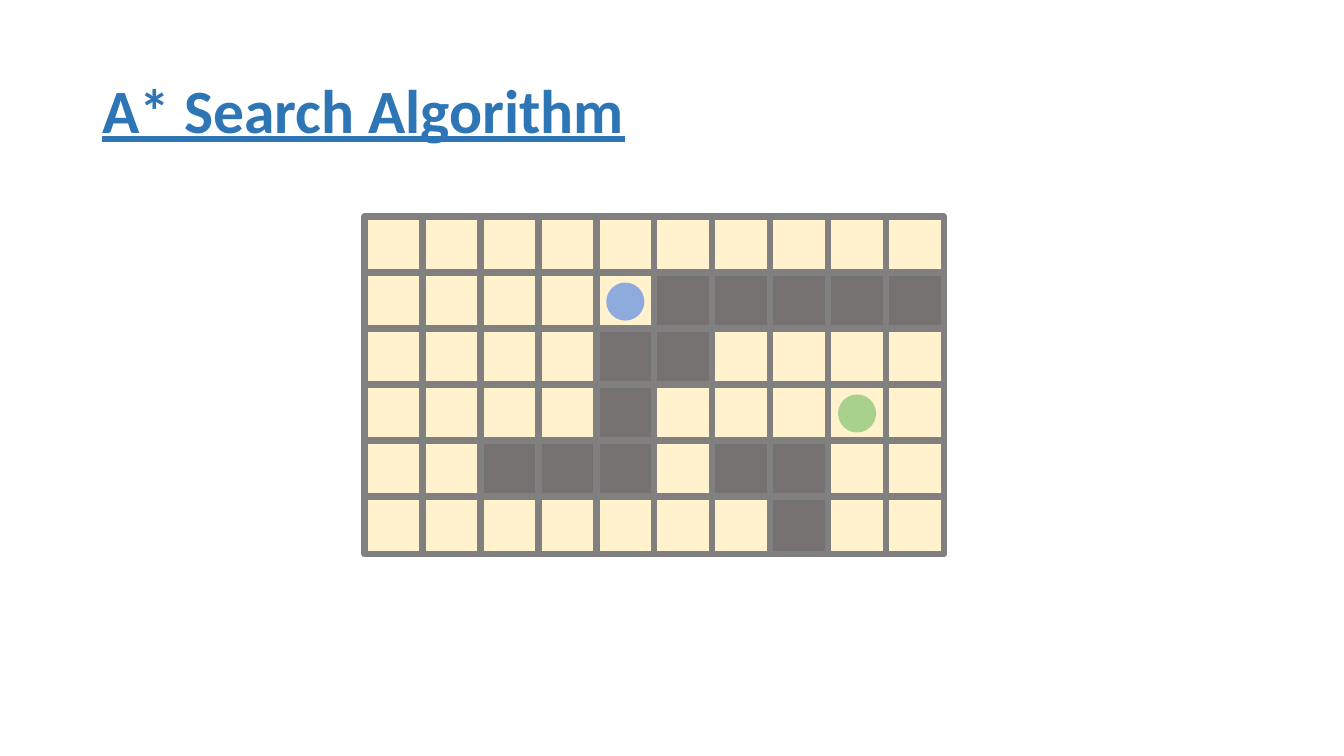
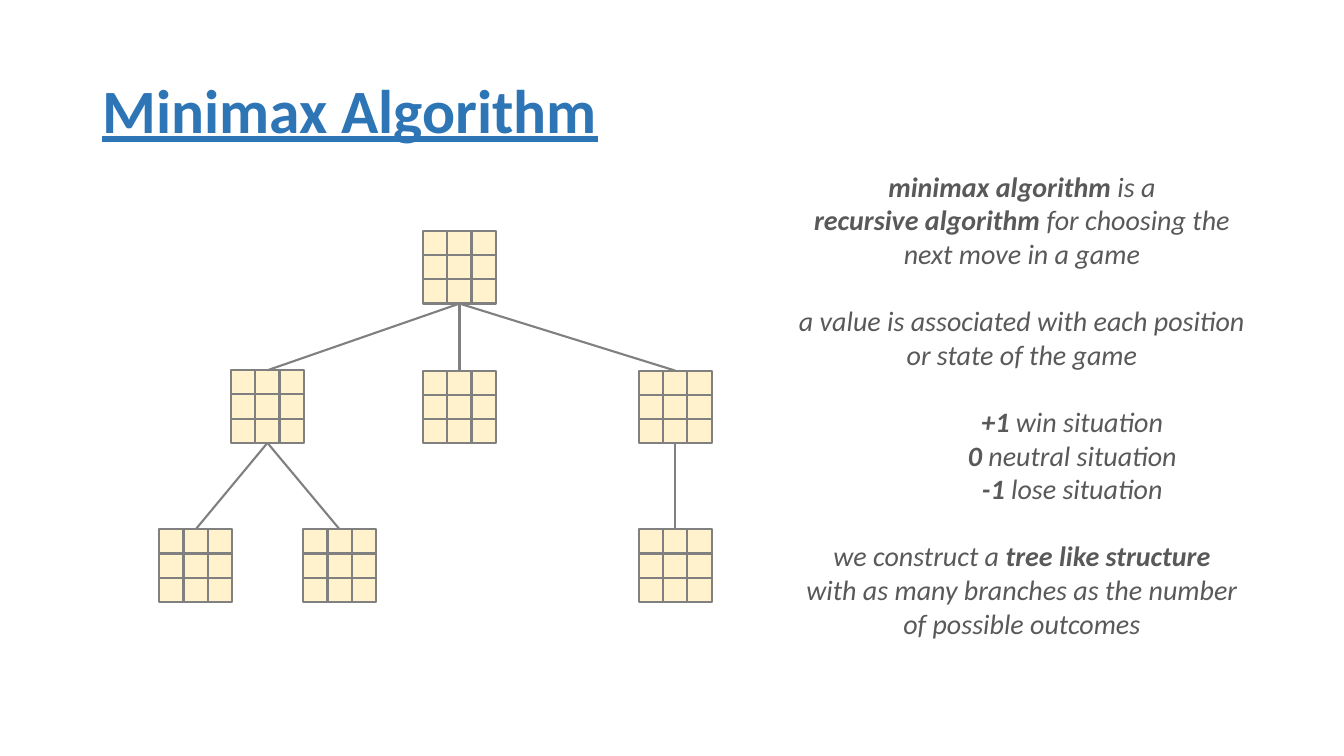
from dataclasses import dataclass
from itertools import product
from typing import NamedTuple

from lxml.etree import SubElement
from pptx import Presentation
from pptx.dml.color import RGBColor as Rgb
from pptx.enum.shapes import MSO_CONNECTOR as Link, MSO_SHAPE as Kind
from pptx.enum.text import MSO_ANCHOR as Anchor, PP_ALIGN as Align
from pptx.oxml.ns import qn
from pptx.slide import Slide
from pptx.util import Cm, Pt

FONT = "Calibri"
INK = {
    "title": "2E75B6",
    "text": "595959",
    "line": "808080",
    "free": "FFF2CC",
    "wall": "767171",
    "start": "8FAADC",
    "goal": "A9D18E",
}

# Maze: # is a wall, S the start, G the goal
MAZE = (
    "..........",
    "....S#####",
    "....##....",
    "....#...G.",
    "..###.##..",
    ".......#..",
)
MARKS = {"S": "start", "G": "goal"}
LEFT, TOP = 9.19, 5.46
STEP, RISE = 1.46, 1.41
DOT = 0.8

# Game tree: boards of three by three cells
CELL = 0.61
SIDE = 3 * CELL


@dataclass(frozen=True)
class Board:
    mid: float
    top: float
    root: str = ""


TREE = {
    "start": Board(11.58, 5.82),
    "left": Board(6.74, 9.33, "start"),
    "middle": Board(11.58, 9.34, "start"),
    "right": Board(17.02, 9.34, "start"),
    "left one": Board(4.93, 13.34, "left"),
    "left two": Board(8.56, 13.34, "left"),
    "right one": Board(17.02, 13.34, "right"),
}


class Row(NamedTuple):
    texts: tuple[str, ...]
    bold: int = -1  # index of the bold text
    gap: bool = False
    inset: float = 0


NOTES = (
    Row(("minimax algorithm", " is a"), 0),
    Row(("recursive algorithm", " for choosing the"), 0),
    Row(("next move in a game",)),
    Row(("a value is associated with each position",), gap=True),
    Row(("or state of the game",)),
    Row(("+1", " win situation"), 0, True, 2.54),
    Row(("0", " neutral situation"), 0, inset=2.54),
    Row(("-1", " lose situation"), 0, inset=2.54),
    Row(("we construct a ", "tree like structure"), 1, True),
    Row(("with as many branches as the number",)),
    Row(("of possible outcomes",)),
)


def tint(name: str) -> Rgb:
    return Rgb.from_string(INK[name])


def add_title(slide: Slide, text: str) -> None:
    box = slide.shapes.add_textbox(Cm(2.33), Cm(1.01), Cm(29.21), Cm(3.68))
    frame = box.text_frame
    frame.word_wrap = True
    frame.vertical_anchor = Anchor.MIDDLE
    frame.text = text
    para = frame.paragraphs[0]
    para.line_spacing = 0.9
    font = para.runs[0].font
    font.name, font.size = FONT, Pt(44)
    font.bold = font.underline = True
    font.color.rgb = tint("title")


def add_form(slide: Slide, kind: Kind, x: float, y: float, size: float,
             fill: str, line: str, width: float) -> None:
    form = slide.shapes.add_shape(kind, Cm(x), Cm(y), Cm(size), Cm(size))
    form.shadow.inherit = False
    form.fill.solid()
    form.fill.fore_color.rgb = tint(fill)
    form.line.color.rgb = tint(line)
    form.line.width = Pt(width)


def add_maze(slide: Slide) -> None:
    dots = []
    for row, signs in enumerate(MAZE):
        for col, sign in enumerate(signs):
            x, y = LEFT + col * STEP, TOP + row * RISE
            fill = "wall" if sign == "#" else "free"
            add_form(slide, Kind.RECTANGLE, x, y, STEP, fill, "line", 4.5)
            if sign in MARKS:
                dots.append((x, y, MARKS[sign]))
    # Dots lie above all cells
    pad = (STEP - DOT) / 2
    for x, y, name in dots:
        add_form(slide, Kind.OVAL, x + pad, y + pad, DOT, name, name, 4.5)


def add_board(slide: Slide, board: Board) -> None:
    for row, col in product(range(3), repeat=2):
        x = board.mid - SIDE / 2 + col * CELL
        y = board.top + row * CELL
        add_form(slide, Kind.RECTANGLE, x, y, CELL, "free", "line", 1.5)


def add_branch(slide: Slide, root: Board, leaf: Board) -> None:
    line = slide.shapes.add_connector(
        Link.STRAIGHT, Cm(root.mid), Cm(root.top + SIDE),
        Cm(leaf.mid), Cm(leaf.top))
    line.line.color.rgb = tint("line")
    line.line.width = Pt(1.5)
    SubElement(line._element.spPr, qn("a:effectLst"))


def add_notes(slide: Slide) -> None:
    box = slide.shapes.add_textbox(Cm(19.81), Cm(4.14), Cm(11.89), Cm(12.22))
    frame = box.text_frame
    frame.word_wrap = False
    for spot, row in enumerate(NOTES):
        para = frame.add_paragraph() if spot else frame.paragraphs[0]
        para.alignment = Align.CENTER
        if row.inset:
            para._p.get_or_add_pPr().set("marL", str(Cm(row.inset)))
        if row.gap:
            para.space_before = Pt(24)
        for order, text in enumerate(row.texts):
            run = para.add_run()
            run.text = text
            font = run.font
            font.name, font.size = FONT, Pt(20)
            font.italic, font.bold = True, order == row.bold
            font.color.rgb = tint("text")


def main() -> None:
    deck = Presentation()
    deck.slide_width, deck.slide_height = Cm(33.87), Cm(19.05)
    blank = deck.slide_layouts[6]

    # Search slide
    search = deck.slides.add_slide(blank)
    add_title(search, "A* Search Algorithm")
    add_maze(search)

    # Game slide
    game = deck.slides.add_slide(blank)
    add_title(game, "Minimax Algorithm")
    for board in TREE.values():
        add_board(game, board)
        if board.root:
            add_branch(game, TREE[board.root], board)
    add_notes(game)

    deck.save("out.pptx")


if __name__ == "__main__":
    main()
